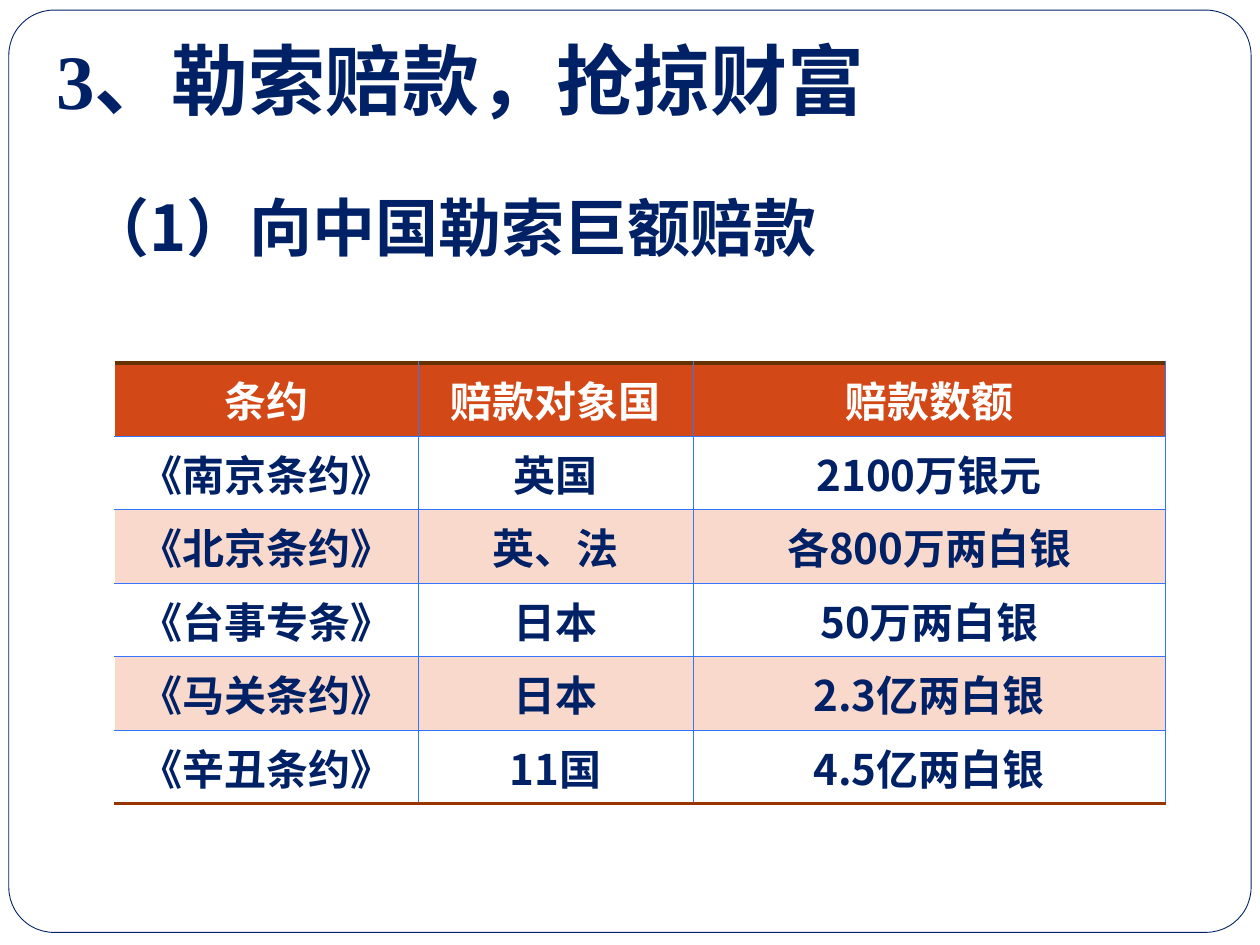
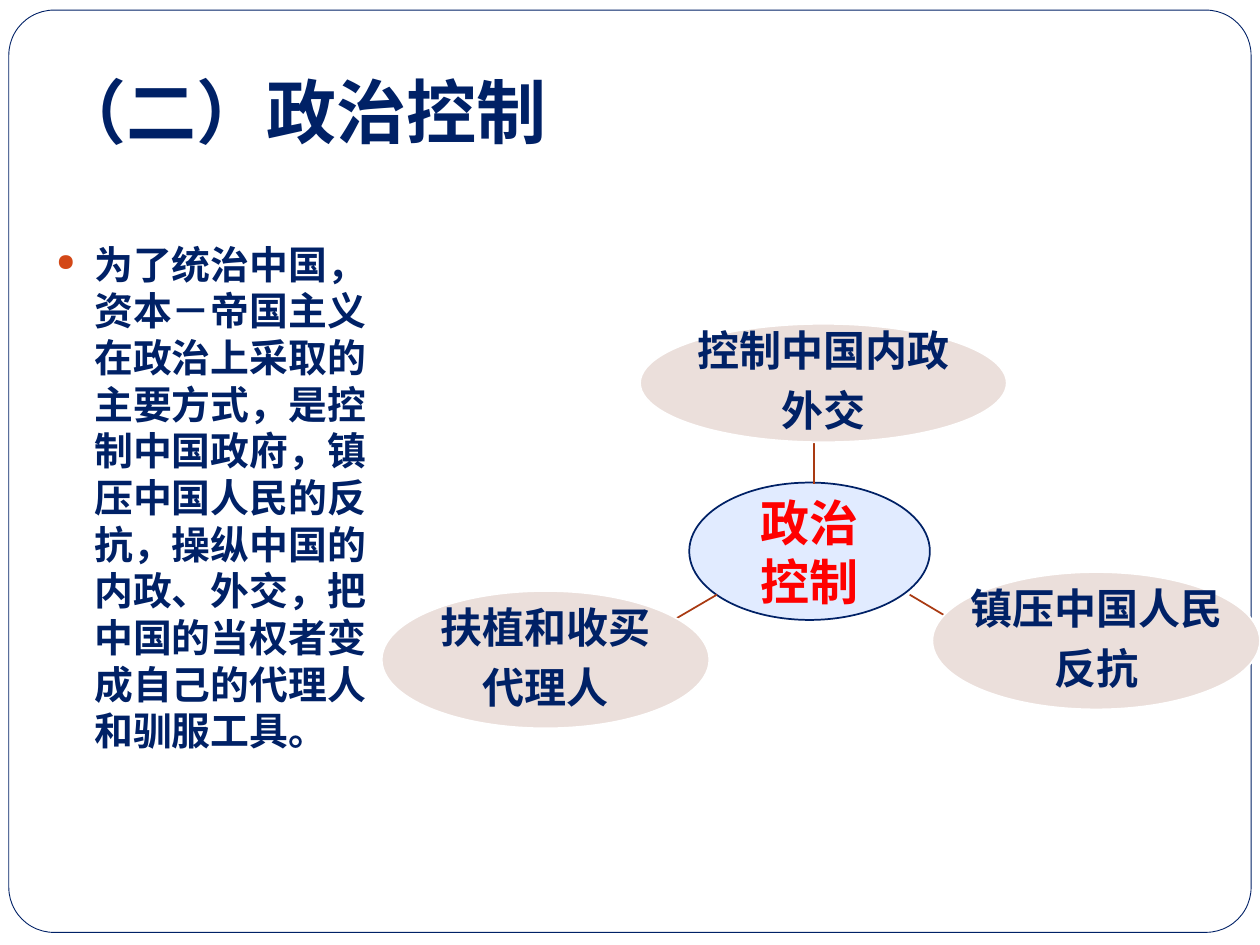
from lxml.etree import SubElement
from pptx import Presentation
from pptx.dml.color import RGBColor
from pptx.enum.shapes import MSO_CONNECTOR, MSO_SHAPE
from pptx.enum.text import MSO_ANCHOR, PP_ALIGN
from pptx.oxml.ns import qn
from pptx.util import Inches, Pt

SANS, SERIF = "Noto Sans CJK JP", "Times New Roman"
NAVY, WHITE, RED = "002166", "FFFFFF", "FF0000"
RUST, PEACH, GRID = "D34817", "FAD9CD", "3375FF"
SKY, SAND, SPOKE = "E1EBFF", "EBDFDB", "A93A12"


def rgb(code):
    """Turn a hex string into a colour."""
    return RGBColor.from_string(code)


class Deck:
    """Holds the style and the current slide."""

    def __init__(self):
        """Open an empty deck of 10 by 7.5 inches."""
        self.prs = Presentation()
        self.prs.slide_width, self.prs.slide_height = Inches(10), Inches(7.5)

    def page(self):
        """Add a slide with the rounded frame."""
        self.slide = self.prs.slides.add_slide(self.prs.slide_layouts[6])
        frame = self.shape(MSO_SHAPE.ROUNDED_RECTANGLE, (0.07, 0.08, 9.86, 7.32), WHITE, NAVY, 0.5)
        frame.adjustments[0] = 0.049

    def shape(self, kind, box, fill, line, width):
        """Add a filled preset shape without shadow."""
        shape = self.slide.shapes.add_shape(kind, *map(Inches, box))
        shape.shadow.inherit = False
        shape.fill.solid()
        shape.fill.fore_color.rgb = rgb(fill)
        shape.line.color.rgb = rgb(line)
        shape.line.width = Pt(width)
        return shape

    def style(self, para, size, color=NAVY, face=SANS, align=PP_ALIGN.LEFT):
        """Format a paragraph and its runs."""
        para.alignment = align
        for run in para.runs:
            font = run.font
            font.size, font.bold, font.name = Pt(size), True, face
            font.color.rgb = rgb(color)
            SubElement(run._r.get_or_add_rPr(), qn("a:ea"), typeface=SANS)

    def text(self, box, words, size, face=SANS):
        """Add a wrapped text box."""
        frame = self.slide.shapes.add_textbox(*map(Inches, box)).text_frame
        frame.word_wrap = True
        frame.text = words
        self.style(frame.paragraphs[0], size, face=face)
        return frame

    def title(self, box, words, size):
        """Add a heading that sits on the foot of its box."""
        frame = self.text(box, words, size)
        frame.vertical_anchor = MSO_ANCHOR.BOTTOM
        frame.margin_bottom = Inches(0.1)

    def bullet(self, box, words, size):
        """Add a text box with one hanging bullet."""
        para = self.text(box, words, size).paragraphs[0]
        props = para._p.get_or_add_pPr()
        props.set("marL", str(Inches(0.3)))
        props.set("indent", str(-Inches(0.3)))
        color = SubElement(props, qn("a:buClr"))
        SubElement(color, qn("a:srgbClr"), val=RUST)
        SubElement(props, qn("a:buSzPct"), val="62000")
        SubElement(props, qn("a:buChar"), char="●")

    def oval(self, box, words, size=24, color=NAVY, fill=SAND, line=WHITE, lead=0.9, after=8.4):
        """Add an oval with centred lines of text."""
        frame = self.shape(MSO_SHAPE.OVAL, box, fill, line, 1).text_frame
        frame.word_wrap = False
        frame.vertical_anchor = MSO_ANCHOR.MIDDLE
        frame.text = words
        for para in frame.paragraphs:
            self.style(para, size, color, align=PP_ALIGN.CENTER)
            para.line_spacing, para.space_after = lead, Pt(after)

    def spoke(self, *ends):
        """Add a straight line between two points."""
        line = self.slide.shapes.add_connector(MSO_CONNECTOR.STRAIGHT, *map(Inches, ends))
        line.line.color.rgb = rgb(SPOKE)
        line.line.width = Pt(1)
        SubElement(line._element.spPr, qn("a:effectLst"))

    def edges(self, cell, sides):
        """Set the borders of a cell, given as left, right, top, bottom."""
        props = cell._tc.get_or_add_tcPr()
        for spot, (side, (color, width)) in enumerate(zip("LRTB", sides)):
            line = SubElement(props, qn(f"a:ln{side}"), w=str(Pt(width)))
            fill = SubElement(line, qn("a:solidFill"))
            SubElement(fill, qn("a:srgbClr"), val=color)
            props.insert(spot, line)

    def table(self, box, widths, rows):
        """Add a table with a header row and striped body."""
        grid = self.slide.shapes.add_table(len(rows), len(widths), *map(Inches, box)).table
        grid.horz_banding = False
        for col, width in zip(grid.columns, widths):
            col.width = Inches(width)
        thin, last = (GRID, 0.5), len(rows) - 1
        for r, row in enumerate(rows):
            back = RUST if r == 0 else WHITE if r % 2 else PEACH
            for c, words in enumerate(row):
                cell = grid.cell(r, c)
                cell.text = words
                cell.vertical_anchor = MSO_ANCHOR.MIDDLE
                cell.fill.solid()
                cell.fill.fore_color.rgb = rgb(back)
                self.style(cell.text_frame.paragraphs[0], 24, NAVY if r else WHITE, align=PP_ALIGN.CENTER)
                left = thin if c else (WHITE, 1)
                top = thin if r else ("663300", 2.25)
                foot = ("993300", 2.25) if r == last else thin
                self.edges(cell, (left, thin, top, foot))


def main():
    """Build both slides and save them."""
    deck = Deck()

    deck.page()
    deck.title((0.59, 1.23, 8.67, 0.97), "（1）向中国勒索巨额赔款", 36)
    deck.text((0.35, 0.21, 9, 1.2), "3、勒索赔款，抢掠财富", 44, SERIF)
    deck.table((0.91, 2.88, 8.34, 3.5), (2.41, 2.18, 3.75), (
        ("条约", "赔款对象国", "赔款数额"),
        ("《南京条约》", "英国", "2100万银元"),
        ("《北京条约》", "英、法", "各800万两白银"),
        ("《台事专条》", "日本", "50万两白银"),
        ("《马关条约》", "日本", "2.3亿两白银"),
        ("《辛丑条约》", "11国", "4.5亿两白银"),
    ))

    deck.page()
    deck.title((0.35, 0.3, 9.15, 1.01), "（二）政治控制", 40)
    deck.oval((5.47, 3.83, 1.91, 1.09), "政治\n控制", 28, RED, SKY, NAVY, 1.0, 0)
    deck.spoke(6.46, 3.84, 6.46, 3.51)
    deck.oval((5.08, 2.57, 2.91, 0.94), "控制中国内政\n外交")
    deck.spoke(7.22, 4.72, 7.54, 4.91)
    deck.oval((7.4, 4.54, 2.6, 1.09), "镇压中国人民\n反抗")
    deck.spoke(5.69, 4.72, 5.33, 4.93)
    deck.oval((3.03, 4.69, 2.6, 1.09), "扶植和收买\n代理人")
    deck.bullet(
        (0.35, 1.86, 2.76, 4.64),
        "为了统治中国，资本－帝国主义在政治上采取的主要方式，是控制中国政府，"
        "镇压中国人民的反抗，操纵中国的内政、外交，把中国的当权者变成自己的代理人和驯服工具。",
        22.2,
    )
    deck.prs.save("out.pptx")


if __name__ == "__main__":
    main()
